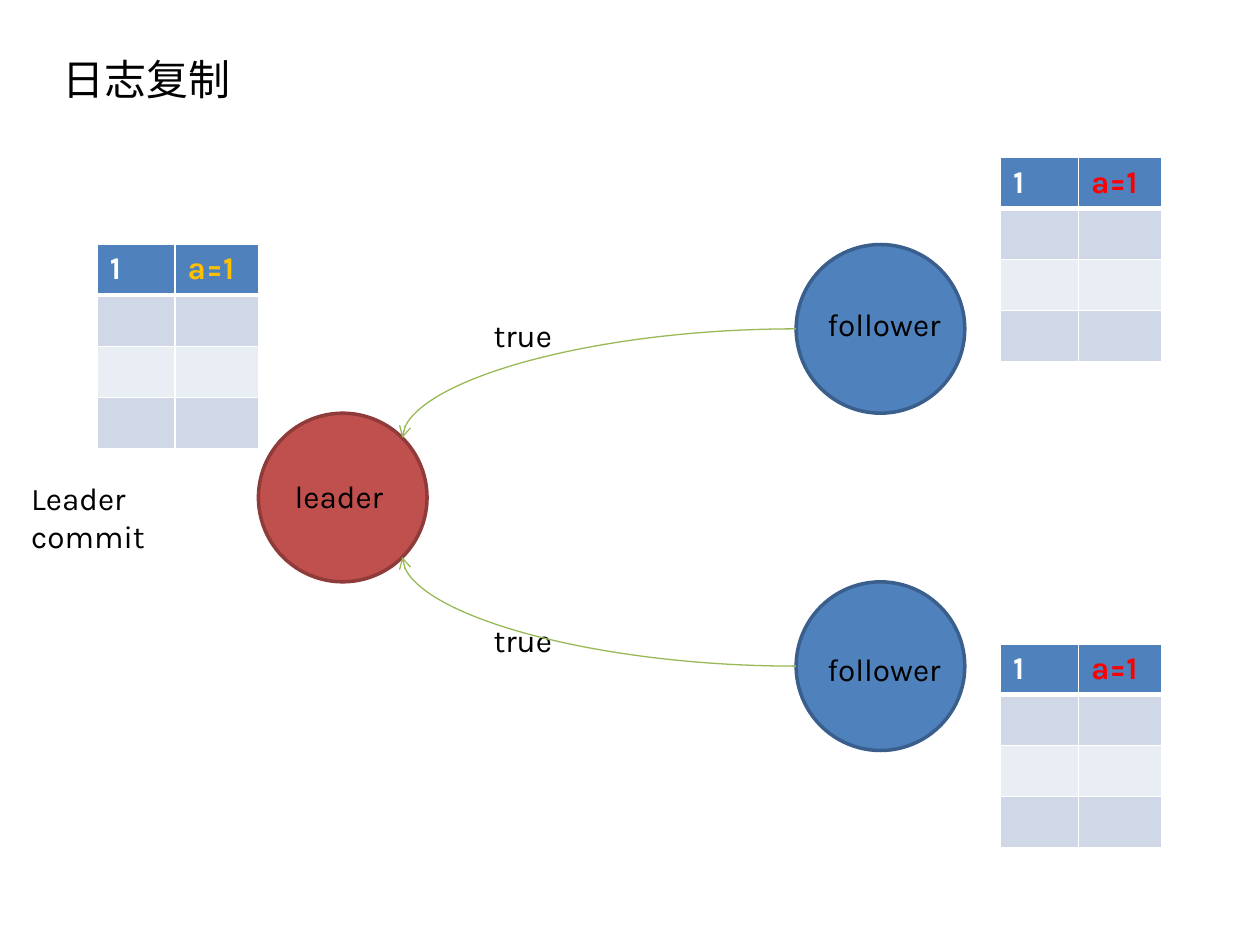
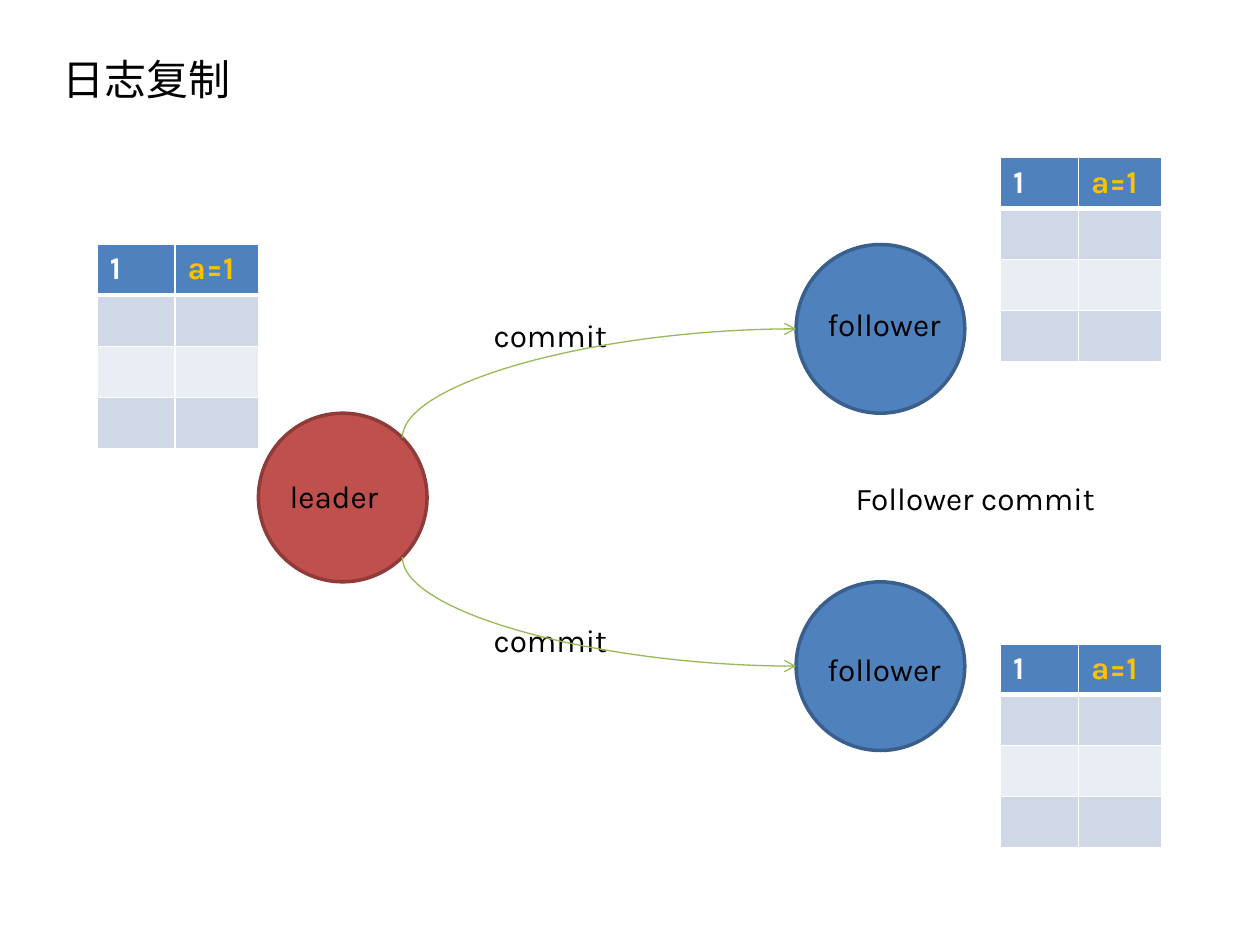
from collections import namedtuple
from math import sqrt

from lxml.etree import SubElement
from pptx import Presentation
from pptx.dml.color import RGBColor
from pptx.enum.shapes import MSO_CONNECTOR, MSO_SHAPE
from pptx.enum.text import MSO_ANCHOR, MSO_AUTO_SIZE, PP_ALIGN
from pptx.oxml import parse_xml
from pptx.oxml.ns import nsdecls, qn
from pptx.util import Cm, Pt

BLACK = RGBColor(0x00, 0x00, 0x00)
WHITE = RGBColor(0xFF, 0xFF, 0xFF)
RED = RGBColor(0xC0, 0x50, 0x4D)
DARK_RED = RGBColor(0x8E, 0x3B, 0x39)
BLUE = RGBColor(0x4F, 0x81, 0xBD)
DARK_BLUE = RGBColor(0x3A, 0x5F, 0x8C)
GREEN = RGBColor(0x98, 0xB9, 0x55)
DARK_BAND = RGBColor(0xD0, 0xD8, 0xE8)
LIGHT_BAND = RGBColor(0xE9, 0xED, 0xF4)
UNCOMMITTED = RGBColor(0xFF, 0x00, 0x00)
COMMITTED = RGBColor(0xFF, 0xC0, 0x00)

TITLE_FONT = "Noto Sans CJK SC"
BODY_FONT = "Karla"

# All boxes are in centimetres.
Box = namedtuple("Box", "left top width height")

DIAMETER = 3.4
LINE_HEIGHT = 1.02
COLUMN_WIDTHS = (1.57, 1.68)
LOG_ROWS = 4

TITLE_BOX = Box(1, 0, 22.86, 3.18)
LEADER_BOX = Box(5.21, 8.33, DIAMETER, DIAMETER)
FOLLOWER_BOXES = [
    Box(16.05, LEADER_BOX.top + shift, DIAMETER, DIAMETER)
    for shift in (-DIAMETER, DIAMETER)
]
LEADER_LOG = (1.96, 4.93)
FOLLOWER_LOGS = ((20.17, 3.18), (20.17, 12.98))
MESSAGE_BOXES = [Box(9.7, top, 4.6, LINE_HEIGHT) for top in (6.25, 12.4)]
FOLLOWER_LABELS = [Box(16.43, top, 3, LINE_HEIGHT) for top in (6.02, 12.98)]


def in_cm(box):
    return [Cm(value) for value in box]


def format_span(span, font, size, color, bold=False):
    span.font.name = font
    span.font.size = Pt(size)
    span.font.color.rgb = color
    span.font.bold = bold


def add_title(page, text):
    title = page.shapes.title
    title.left, title.top, title.width, title.height = in_cm(TITLE_BOX)
    frame = title.text_frame
    frame.text = text
    frame.vertical_anchor = MSO_ANCHOR.MIDDLE
    para = frame.paragraphs[0]
    para.alignment = PP_ALIGN.LEFT
    span = para.runs[0]
    format_span(span, TITLE_FONT, 24, BLACK)
    east_asian = SubElement(span.font._element, qn("a:ea"))
    east_asian.set("typeface", TITLE_FONT)


def add_label(page, box, text):
    frame = page.shapes.add_textbox(*in_cm(box)).text_frame
    frame.word_wrap = True
    frame.auto_size = MSO_AUTO_SIZE.SHAPE_TO_FIT_TEXT
    frame.text = text
    format_span(frame.paragraphs[0].runs[0], BODY_FONT, 18, BLACK)


def add_node(page, box, fill, outline):
    node = page.shapes.add_shape(MSO_SHAPE.OVAL, *in_cm(box))
    node.shadow.inherit = False
    node.fill.solid()
    node.fill.fore_color.rgb = fill
    node.line.color.rgb = outline
    node.line.width = Pt(2)


def set_borders(cell, top, bottom):
    """Draw white borders; top and bottom are widths in points."""
    properties = cell._tc.get_or_add_tcPr()
    widths = {"lnL": 1, "lnR": 1, "lnT": top, "lnB": bottom}
    for position, (side, width) in enumerate(widths.items()):
        border = parse_xml(
            f'<a:{side} {nsdecls("a")} w="{Pt(width)}"><a:solidFill>'
            f'<a:srgbClr val="{WHITE}"/></a:solidFill></a:{side}>'
        )
        properties.insert(position, border)


def add_log(page, corner, entry_color):
    """Add a log table whose first row holds the only entry."""
    box = Box(*corner, sum(COLUMN_WIDTHS), LOG_ROWS * LINE_HEIGHT)
    table = page.shapes.add_table(LOG_ROWS, 2, *in_cm(box)).table
    for column, width in zip(table.columns, COLUMN_WIDTHS):
        column.width = Cm(width)
    fills = (BLUE, DARK_BAND, LIGHT_BAND, DARK_BAND)
    for index, (row, fill) in enumerate(zip(table.rows, fills)):
        row.height = Cm(LINE_HEIGHT)
        for cell in row.cells:
            cell.fill.solid()
            cell.fill.fore_color.rgb = fill
            set_borders(cell, 3 if index == 1 else 1, 3 if index == 0 else 1)
    for cell, text, color in zip(table.rows[0].cells, ("1", "a=1"), (WHITE, entry_color)):
        cell.text = text
        format_span(cell.text_frame.paragraphs[0].runs[0], BODY_FONT, 18, color, True)


def add_curve(page, follower, arrow_end):
    """Join a follower's left side to the leader's nearest diagonal point."""
    radius = DIAMETER / 2
    diagonal = radius / sqrt(2)
    side = 1 if follower.top > LEADER_BOX.top else -1
    start = (follower.left, follower.top + radius)
    end = (LEADER_BOX.left + radius + diagonal, LEADER_BOX.top + radius + side * diagonal)
    curve = page.shapes.add_connector(MSO_CONNECTOR.CURVE, *in_cm(start + end))
    curve.line.color.rgb = GREEN
    curve.line.width = Pt(0.75)
    properties = curve._element.spPr
    properties.find(qn("a:prstGeom")).set("prst", "curvedConnector2")
    SubElement(curve.line._get_or_add_ln(), qn(f"a:{arrow_end}")).set("type", "arrow")
    SubElement(properties, qn("a:effectLst"))


def add_replication_page(deck, message, arrow_end, follower_color, leader_label, note_box, note):
    page = deck.slides.add_slide(deck.slide_layouts[5])
    add_title(page, "日志复制")
    add_node(page, LEADER_BOX, RED, DARK_RED)
    for box in FOLLOWER_BOXES:
        add_node(page, box, BLUE, DARK_BLUE)
    add_log(page, LEADER_LOG, COMMITTED)
    for corner in FOLLOWER_LOGS:
        add_log(page, corner, follower_color)
    for box in MESSAGE_BOXES:
        add_label(page, box, message)
    add_label(page, note_box, note)
    for box in FOLLOWER_BOXES:
        add_curve(page, box, arrow_end)
    add_label(page, leader_label, "leader")
    for box in FOLLOWER_LABELS:
        add_label(page, box, "follower")


def main():
    deck = Presentation()
    deck.slide_width, deck.slide_height = Cm(25.4), Cm(19.05)
    add_replication_page(
        deck, "true", "tailEnd", UNCOMMITTED,
        leader_label=Box(5.69, 9.5, 2.39, LINE_HEIGHT),
        note_box=Box(0.38, 9.53, 4.83, LINE_HEIGHT), note="Leader commit",
    )
    add_replication_page(
        deck, "commit", "headEnd", COMMITTED,
        leader_label=Box(5.59, 9.5, 3, LINE_HEIGHT),
        note_box=Box(17, 9.53, 6.86, LINE_HEIGHT), note="Follower commit",
    )
    deck.save("out.pptx")


if __name__ == "__main__":
    main()
